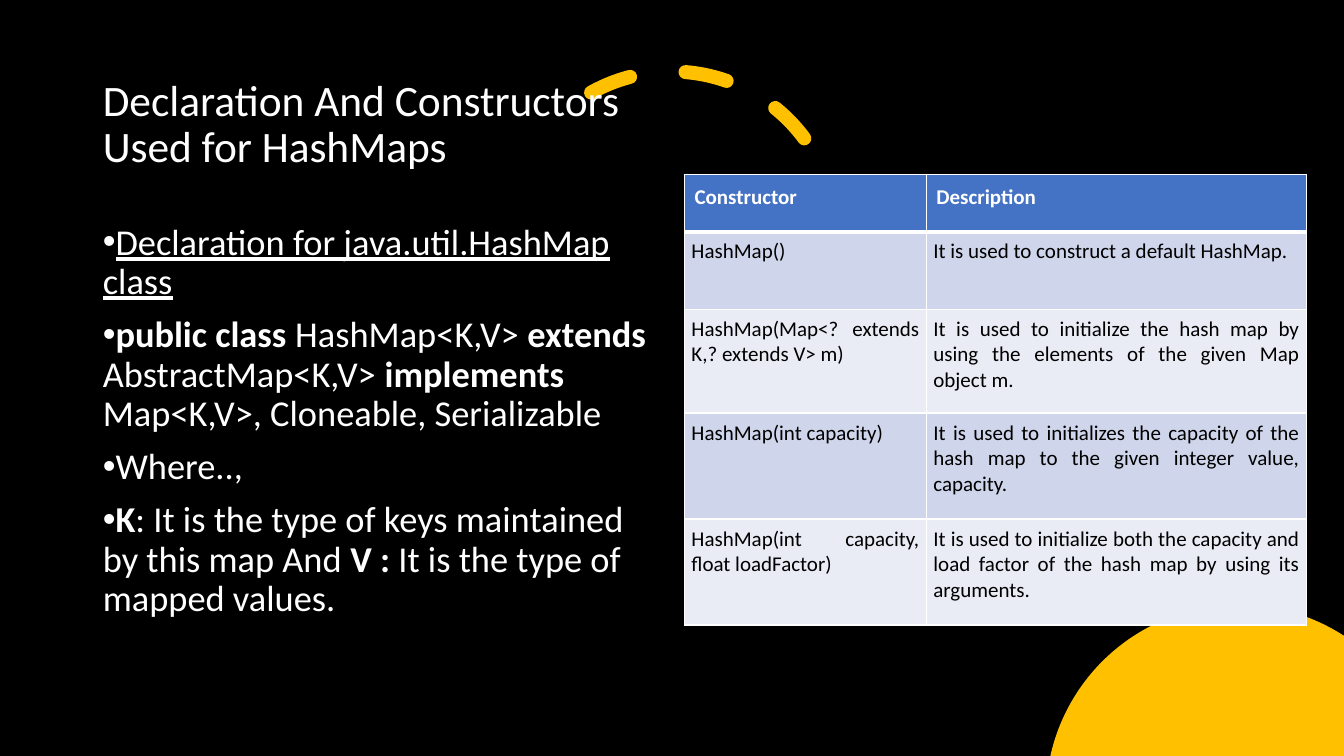
import math
from dataclasses import dataclass

from lxml import etree
from pptx import Presentation
from pptx import util as u
from pptx.dml import color
from pptx.enum import dml, shapes, text
from pptx.oxml import ns

TITLE = "Declaration And Constructors Used for HashMaps"
BULLETS = [
    [("Declaration for java.util.HashMap class", "underline")],
    [
        ("public class", "bold"),
        (" HashMap<K,V> ", ""),
        ("extends", "bold"),
        (" AbstractMap<K,V> ", ""),
        ("implements", "bold"),
        (" Map<K,V>, Cloneable, Serializable", ""),
    ],
    [("Where..,", "")],
    [
        ("K", "bold"),
        (": It is the type of keys maintained by this map And ", ""),
        ("V :", "bold"),
        (" It is the type of mapped values.", ""),
    ],
]
CONSTRUCTORS = [
    ("Constructor", "Description"),
    ("HashMap()", "It is used to construct a default HashMap."),
    (
        "HashMap(Map<? extends K,? extends V> m)",
        "It is used to initialize the hash map by using the elements of the given Map object m.",
    ),
    (
        "HashMap(int capacity)",
        "It is used to initializes the capacity of the hash map to the given integer value, capacity.",
    ),
    (
        "HashMap(int capacity, float loadFactor)",
        "It is used to initialize both the capacity and load factor of the hash map by using its arguments.",
    ),
]


@dataclass(frozen=True)
class Theme:
    font: str = "Calibri"
    title_size: float = 31
    body_size: float = 26
    table_size: float = 15
    background: str = "000000"
    light: str = "FFFFFF"
    dark: str = "000000"
    accent: str = "FFC000"
    header: str = "4472C4"
    bands: tuple = ("E9EBF5", "CFD5EA")


THEME = Theme()
WIDTH, HEIGHT = 960, 540
TITLE_BOX = (66.24, 37.44, 414, 104.4)
BODY_BOX = (66.24, 156.24, 414, 329.76)
ARC_BOX = (362.16, 51.12, 235.44, 235.44)
ARC_START = 144.418
SUN_X, SUN_Y, SUN_RADIUS = 885, 570, 138
TABLE_LEFT, TABLE_TOP = 488.88, 124.7
COLUMNS = (172.8, 271.44)
ROWS = (41, 55.2, 74.2, 75.7, 75.7)


def rgb(value):
    return color.RGBColor.from_string(value)


def points(values):
    return [u.Pt(value) for value in values]


def fill(target, value):
    target.fill.solid()
    target.fill.fore_color.rgb = rgb(value)


def add_run(paragraph, words, size, value, style=""):
    run = paragraph.add_run()
    run.text = words
    font = run.font
    font.name = THEME.font
    font.size = u.Pt(size)
    font.color.rgb = rgb(value)
    font.bold = style == "bold"
    font.underline = style == "underline"


def place(shape, box, anchor):
    shape.left, shape.top, shape.width, shape.height = points(box)
    frame = shape.text_frame
    frame.word_wrap = True
    frame.auto_size = text.MSO_AUTO_SIZE.NONE
    frame.vertical_anchor = anchor
    return frame


def add_sun(slide):
    first = 180 - math.degrees(math.asin((SUN_Y - HEIGHT) / SUN_RADIUS))
    last = math.degrees(math.acos((WIDTH - SUN_X) / SUN_RADIUS))
    steps = 80
    angles = [math.radians(first + (last - first) * i / steps) for i in range(steps + 1)]
    outline = [
        (SUN_X + SUN_RADIUS * math.cos(angle), SUN_Y - SUN_RADIUS * math.sin(angle))
        for angle in angles
    ] + [(WIDTH, HEIGHT)]
    start, *rest = [points(point) for point in outline]
    builder = slide.shapes.build_freeform(*start)
    builder.add_line_segments(rest, close=True)
    sun = builder.convert_to_shape()
    sun.shadow.inherit = False
    fill(sun, THEME.accent)
    sun.line.fill.background()


def add_dashed_arc(slide):
    arc = slide.shapes.add_shape(shapes.MSO_SHAPE.ARC, *points(ARC_BOX))
    arc.adjustments[0] = ARC_START
    arc.adjustments[1] = 0
    arc.shadow.inherit = False
    arc.fill.background()
    arc.line.color.rgb = rgb(THEME.accent)
    arc.line.width = u.Pt(10)
    arc.line.dash_style = dml.MSO_LINE.DASH
    arc.line._ln.set("cap", "rnd")


def add_title(slide):
    frame = place(slide.shapes.title, TITLE_BOX, text.MSO_ANCHOR.MIDDLE)
    paragraph = frame.paragraphs[0]
    paragraph.alignment = text.PP_ALIGN.LEFT
    paragraph.line_spacing = 0.9
    add_run(paragraph, TITLE, THEME.title_size, THEME.light)


def add_body(slide):
    frame = place(slide.placeholders[1], BODY_BOX, text.MSO_ANCHOR.TOP)
    for index, runs in enumerate(BULLETS):
        paragraph = frame.add_paragraph() if index else frame.paragraphs[0]
        paragraph.line_spacing = 0.9
        paragraph.space_before = u.Pt(10)
        properties = paragraph._p.get_or_add_pPr()
        properties.set("marL", "0")
        properties.set("indent", str(u.Pt(-18)))
        etree.SubElement(properties, ns.qn("a:buFont"), typeface="Arial")
        etree.SubElement(properties, ns.qn("a:buChar"), char="•")
        for words, style in runs:
            add_run(paragraph, words, THEME.body_size, THEME.light, style)


def set_borders(cell, widths):
    properties = cell._tc.get_or_add_tcPr()
    for index, (side, width) in enumerate(widths.items()):
        line = etree.Element(ns.qn(f"a:ln{side}"), w=str(u.Pt(width)))
        solid = etree.SubElement(line, ns.qn("a:solidFill"))
        etree.SubElement(solid, ns.qn("a:srgbClr"), val=THEME.light)
        properties.insert(index, line)


def add_constructor_table(slide):
    box = (TABLE_LEFT, TABLE_TOP, sum(COLUMNS), sum(ROWS))
    table = slide.shapes.add_table(len(ROWS), len(COLUMNS), *points(box)).table
    for column, width in zip(table.columns, COLUMNS):
        column.width = u.Pt(width)
    for index, (row, height, entries) in enumerate(zip(table.rows, ROWS, CONSTRUCTORS)):
        row.height = u.Pt(height)
        is_header = index == 0
        inset = u.Pt(7.2 if is_header else 5.04)
        top, bottom = {0: (1, 3), 1: (3, 1)}.get(index, (1, 1))
        for cell, words in zip(row.cells, entries):
            cell.margin_left = cell.margin_right = inset
            cell.margin_top = cell.margin_bottom = inset
            fill(cell, THEME.header if is_header else THEME.bands[index % 2])
            set_borders(cell, {"L": 1, "R": 1, "T": top, "B": bottom})
            paragraph = cell.text_frame.paragraphs[0]
            paragraph.alignment = text.PP_ALIGN.LEFT if is_header else text.PP_ALIGN.JUSTIFY
            value = THEME.light if is_header else THEME.dark
            add_run(paragraph, words, THEME.table_size, value, "bold" if is_header else "")


def main():
    presentation = Presentation()
    presentation.slide_width, presentation.slide_height = points((WIDTH, HEIGHT))
    slide = presentation.slides.add_slide(presentation.slide_layouts[1])
    fill(slide.background, THEME.background)
    placeholders = list(slide.placeholders)
    add_sun(slide)
    add_dashed_arc(slide)
    for placeholder in placeholders:
        slide.shapes._spTree.append(placeholder._element)
    add_title(slide)
    add_body(slide)
    add_constructor_table(slide)
    presentation.save("out.pptx")


if __name__ == "__main__":
    main()
